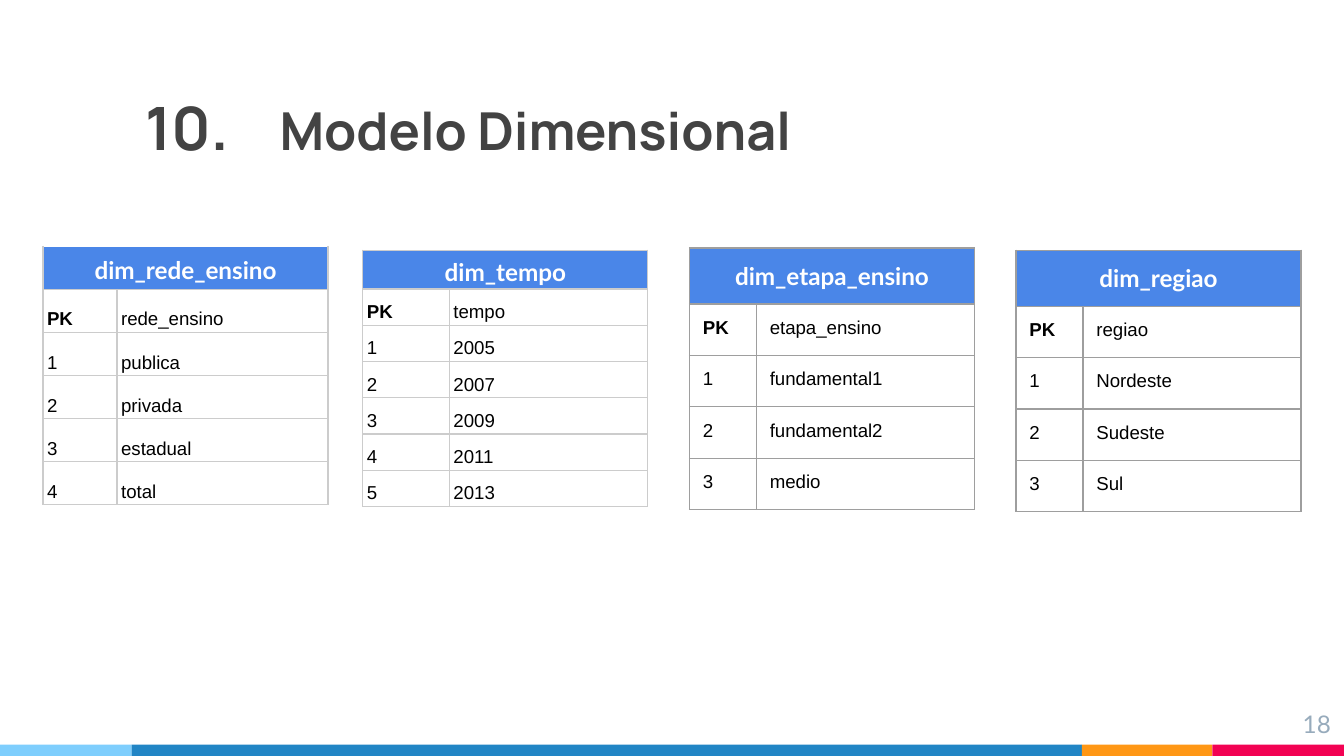
from dataclasses import dataclass
from itertools import accumulate
from typing import Any

from lxml import etree
from pptx import Presentation
from pptx import util as u
from pptx.dml.color import RGBColor
from pptx.enum import shapes, text
from pptx.oxml.ns import qn

W, H = u.Inches(10), u.Inches(5.625)
BLUE, WHITE, BLACK, SILVER, GRAY = "4A86E8", "FFFFFF", "000000", "CCCCCC", "9E9E9E"


@dataclass
class Style:
    line: str
    insets: tuple[float, float]
    anchor: text.MSO_ANCHOR
    spacing: float


@dataclass
class Dimension:
    name: str
    values: list[str]
    left: float
    top: float
    key_share: float
    header: float
    row: float
    style: Style
    top_line: str


TIGHT = Style(SILVER, (0.03, 0.02), text.MSO_ANCHOR.BOTTOM, 1.15)
ROOMY = Style(GRAY, (0.1, 0.1), text.MSO_ANCHOR.TOP, 1.0)
TABLE_WIDTH = 0.212
DIMENSIONS = [
    Dimension("rede_ensino", ["publica", "privada", "estadual", "total"],
              0.032, 0.326, 0.26, 0.057, 0.057, TIGHT, WHITE),
    Dimension("tempo", ["2005", "2007", "2009", "2011", "2013"],
              0.27, 0.331, 0.304, 0.048, 0.048, TIGHT, SILVER),
    Dimension("etapa_ensino", ["fundamental1", "fundamental2", "medio"],
              0.513, 0.328, 0.235, 0.052, 0.068, ROOMY, GRAY),
    Dimension("regiao", ["Nordeste", "Sudeste", "Sul"],
              0.756, 0.331, 0.235, 0.052, 0.068, ROOMY, GRAY),
]
STRIPES = [(0.098, "7ECEFD"), (0.707, "2185C5"), (0.097, "FF9715"), (0.098, "F20253")]


def rgb(value: str) -> RGBColor:
    return RGBColor.from_string(value)


def box(x: float, y: float, w: float, h: float) -> tuple[int, int, int, int]:
    return round(x * W), round(y * H), round(w * W), round(h * H)


def assign(obj: Any, **values: Any) -> None:
    for key, value in values.items():
        setattr(obj, key, value)


def margins(x: float, y: float) -> dict[str, int]:
    return dict(margin_left=u.Inches(x), margin_right=u.Inches(x),
                margin_top=u.Inches(y), margin_bottom=u.Inches(y))


def add_run(p: Any, words: str, size: float, font: str, color: str, bold: bool = False) -> None:
    r = p.add_run()
    r.text = words
    assign(r.font, size=u.Pt(size), name=font, bold=bold)
    r.font.color.rgb = rgb(color)


def set_borders(cell: Any, line: str, top: str) -> None:
    pr = cell._tc.get_or_add_tcPr()
    for side, color in zip("LRTB", (line, line, top, line)):
        ln = etree.SubElement(pr, qn(f"a:ln{side}"), w=str(u.Pt(0.75)))
        fill = etree.SubElement(ln, qn("a:solidFill"))
        etree.SubElement(fill, qn("a:srgbClr"), val=color)


def add_dimension(s: Any, d: Dimension) -> None:
    rows = [("PK", d.name)] + [(str(i), v) for i, v in enumerate(d.values, 1)]
    height = d.header + d.row * len(rows)
    table = s.shapes.add_table(len(rows) + 1, 2, *box(d.left, d.top, TABLE_WIDTH, height)).table
    assign(table, first_row=False, horz_banding=False)
    for column, share in zip(table.columns, (d.key_share, 1 - d.key_share)):
        column.width = round(TABLE_WIDTH * share * W)
    for i, row in enumerate(table.rows):
        row.height = round((d.row if i else d.header) * H)
        for cell in row.cells:
            assign(cell, vertical_anchor=d.style.anchor, **margins(*d.style.insets))
            set_borders(cell, d.style.line, d.style.line if i else d.top_line)
            cell.fill.background()

    head = table.cell(0, 0)
    head.merge(table.cell(0, 1))
    head.vertical_anchor = text.MSO_ANCHOR.MIDDLE
    head.fill.solid()
    head.fill.fore_color.rgb = rgb(BLUE)
    p = head.text_frame.paragraphs[0]
    assign(p, alignment=text.PP_ALIGN.CENTER, line_spacing=d.style.spacing)
    add_run(p, f"dim_{d.name}", 13, "Lato", WHITE, True)

    for i, values in enumerate(rows, 1):
        for j, value in enumerate(values):
            p = table.cell(i, j).text_frame.paragraphs[0]
            p.line_spacing = d.style.spacing
            add_run(p, value, 10, "Arial", BLACK, value == "PK")


def add_stripes(s: Any) -> None:
    ends = accumulate(width for width, _ in STRIPES)
    for end, (width, color) in zip(ends, STRIPES):
        sp = s.shapes.add_shape(shapes.MSO_SHAPE.RECTANGLE, *box(end - width, 0.985, width, 0.015))
        sp.shadow.inherit = False
        sp.fill.solid()
        sp.fill.fore_color.rgb = rgb(color)
        sp.line.fill.background()


def add_title(s: Any) -> None:
    sp = s.shapes.title
    sp.left, sp.top, sp.width, sp.height = box(0.098, 0.066, 0.707, 0.167)
    tf = sp.text_frame
    assign(tf, vertical_anchor=text.MSO_ANCHOR.BOTTOM, word_wrap=True,
           auto_size=text.MSO_AUTO_SIZE.NONE, **margins(0.1, 0.1))
    p = tf.paragraphs[0]
    p.alignment = text.PP_ALIGN.LEFT
    add_run(p, "10.\t", 32, "Manrope", "434343", True)
    add_run(p, "Modelo Dimensional", 28, "Manrope", "434343", True)


def add_page_number(s: Any) -> None:
    tf = s.shapes.add_textbox(*box(0.94, 0.92, 0.06, 0.06)).text_frame
    assign(tf, word_wrap=True, **margins(0.1, 0.1))
    p = tf.paragraphs[0]
    p.alignment = text.PP_ALIGN.RIGHT
    add_run(p, "18", 13, "Lato", "97ABBC")


def main() -> None:
    prs = Presentation()
    assign(prs, slide_width=W, slide_height=H)
    s = prs.slides.add_slide(prs.slide_layouts[5])
    add_stripes(s)
    add_title(s)
    add_page_number(s)
    for dimension in DIMENSIONS:
        add_dimension(s, dimension)
    prs.save("out.pptx")


if __name__ == "__main__":
    main()
